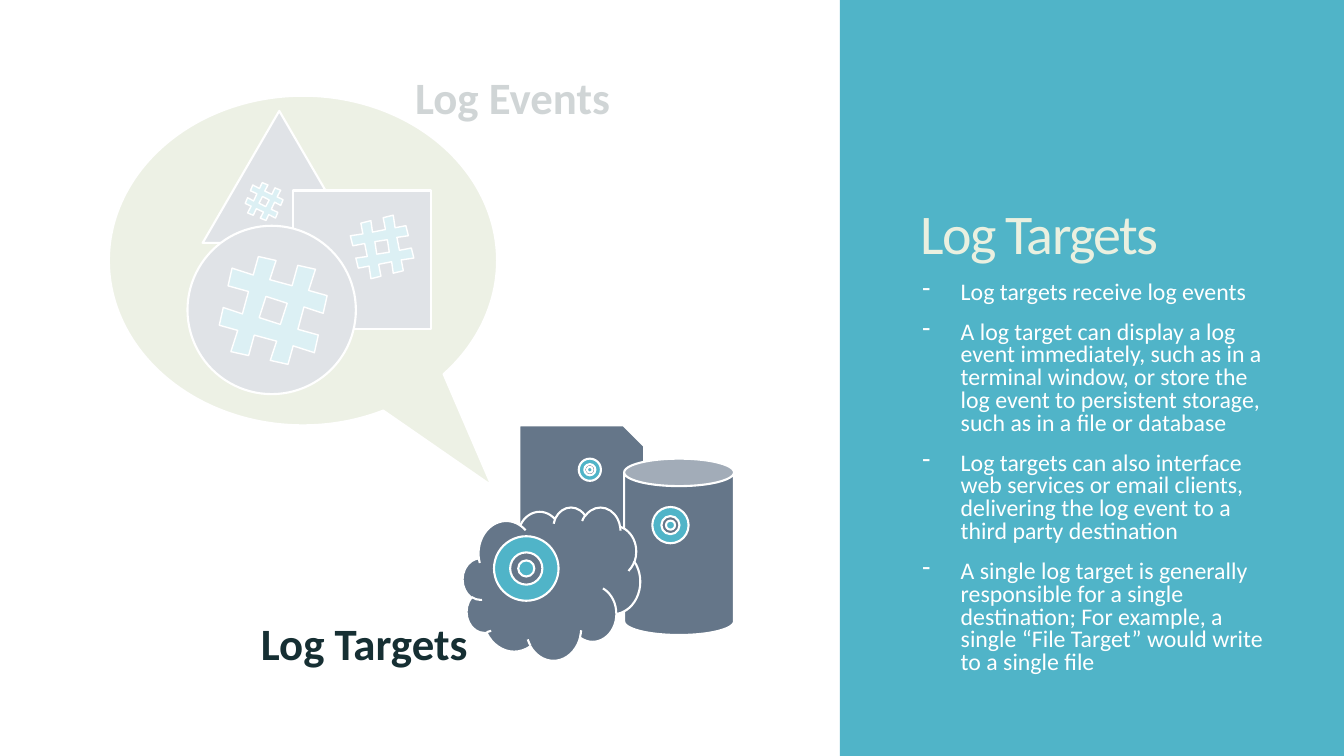
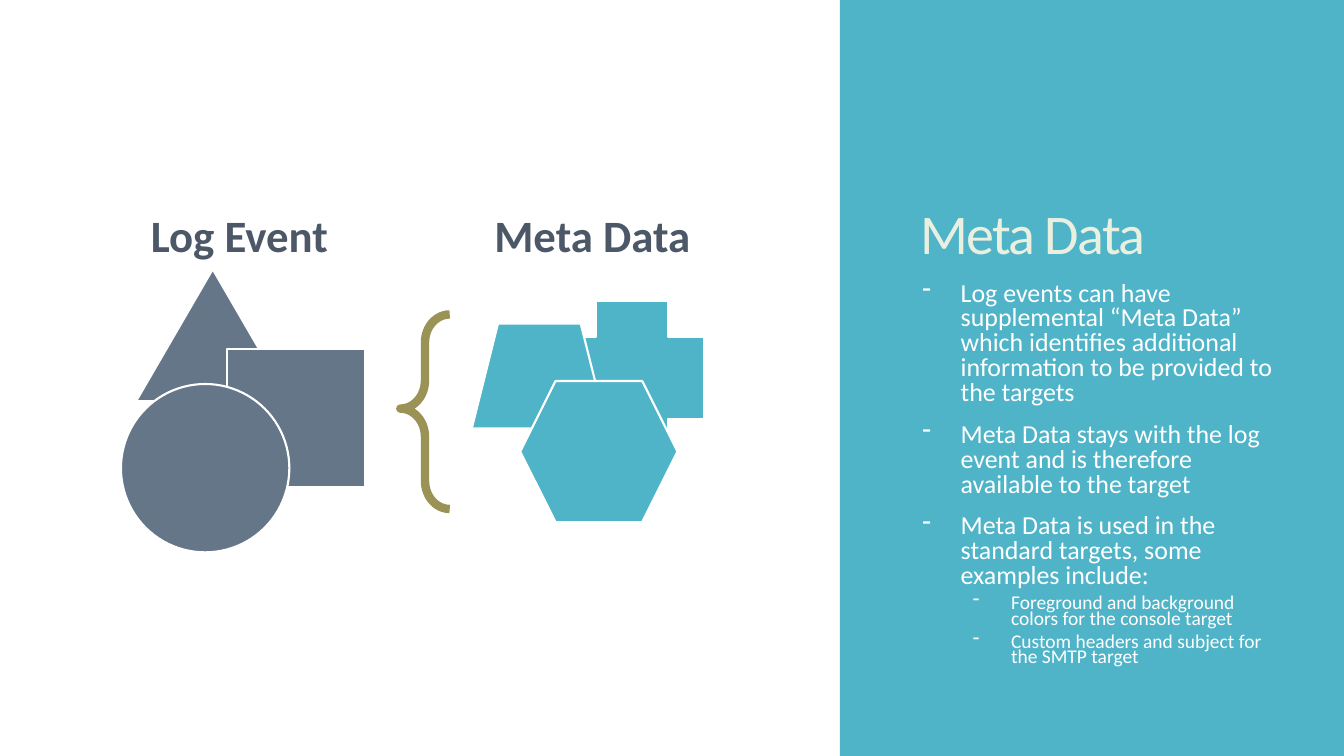
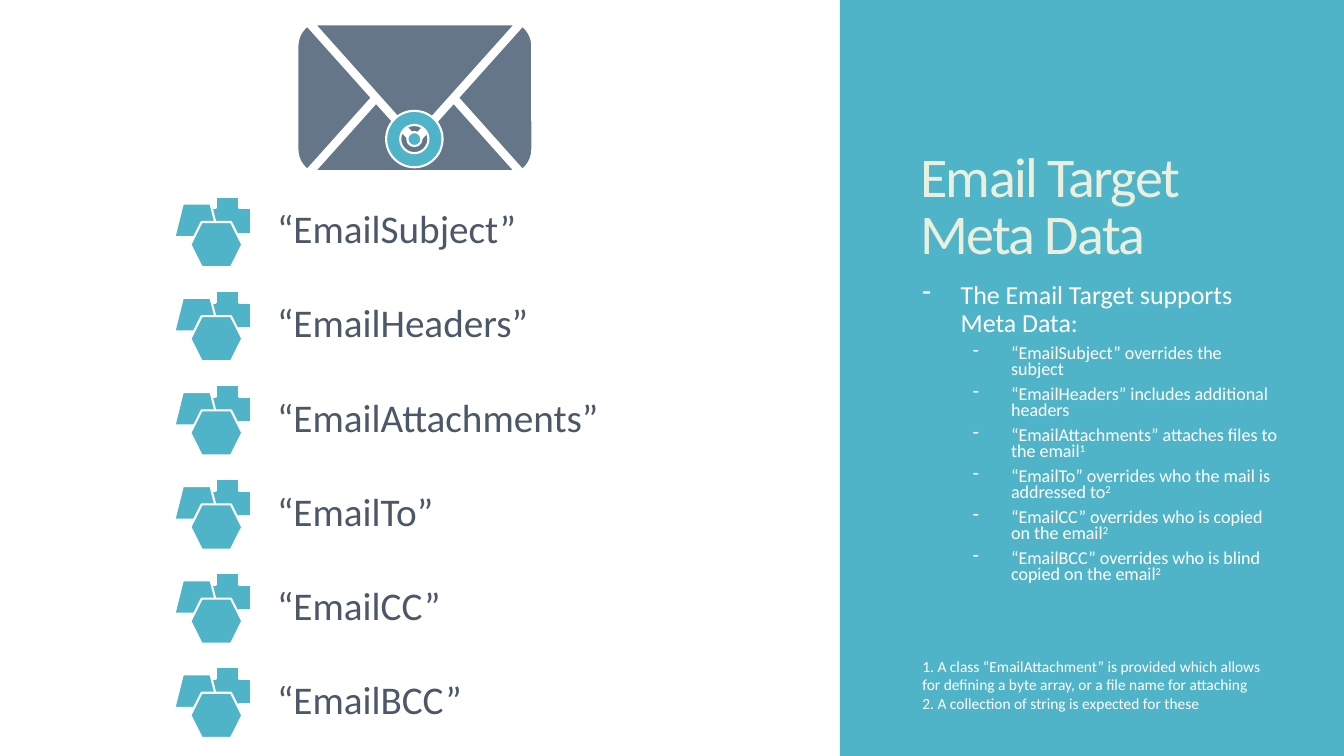
from dataclasses import dataclass
from typing import Optional, Sequence

from lxml import etree
from pptx import Presentation
from pptx import util as u
from pptx.dml import color
from pptx.enum import shapes, text
from pptx.oxml import ns

Kind = shapes.MSO_SHAPE
Inches = u.Inches


@dataclass(frozen=True)
class Theme:
    font: str = "Calibri"
    accent: str = "50B4C8"
    slate: str = "657689"
    label: str = "4C5867"
    heading: str = "162F33"
    title: str = "EAF0E0"
    callout: str = "A8B97F"
    brace: str = "9B9256"
    white: str = "FFFFFF"
    title_size: float = 40
    heading_size: float = 32
    key_size: float = 28
    footnote_size: float = 11
    outline: float = 1.5
    hash_outline: float = 1
    heavy_outline: float = 6


THEME = Theme()


@dataclass(frozen=True)
class Box:
    left: float
    top: float
    width: float
    height: float

    def lengths(self) -> tuple:
        return tuple(Inches(n) for n in (self.left, self.top, self.width, self.height))


@dataclass(frozen=True)
class Piece:
    kind: Kind
    box: Box
    fill: Optional[str] = THEME.slate
    line: str = THEME.white
    weight: float = THEME.outline
    rotation: float = 0
    adjust: tuple = ()


@dataclass(frozen=True)
class Bullet:
    text: str
    level: int = 0
    note: str = ""


@dataclass(frozen=True)
class BulletStyle:
    """Type sizes and line spacings by bullet level."""
    sizes: tuple
    spacings: tuple


@dataclass(frozen=True)
class MetaKey:
    name: str
    effect: str
    note: str = ""

    @property
    def quoted(self) -> str:
        return f"“{self.name}”"


@dataclass(frozen=True)
class Hash:
    center_x: float
    center_y: float
    size: float
    tilt: float


TITLE_BOX = Box(9.03, 0.59, 3.7, 2.1)
BULLET_INDENTS = (0.38, 0.88)
BULLET_HANG = 0.38
SPACE_BEFORE = (12, 6)

EVENT_FIGURE = (
    Piece(Kind.ISOSCELES_TRIANGLE, Box(0, 0, 1.52, 1.31)),
    Piece(Kind.RECTANGLE, Box(0.9, 0.79, 1.37, 1.37)),
    Piece(Kind.OVAL, Box(-0.15, 1.14, 1.67, 1.67)),
)
META_FIGURE = (
    Piece(Kind.CROSS, Box(0.88, 0, 1.42, 1.52), THEME.accent),
    Piece(Kind.TRAPEZOID, Box(0, 0.22, 1.34, 1.04), THEME.accent),
    Piece(Kind.HEXAGON, Box(0.48, 0.79, 1.56, 1.4), THEME.accent),
)

# One quarter of a hash sign of unit size, centred on the origin.
HASH_QUARTER = ((0.14, -0.49), (0.32, -0.49), (0.3, -0.27), (0.49, -0.26),
                (0.49, -0.08), (0.29, -0.1), (0.28, 0.13))
HASH_HOLE = ((-0.1, -0.12),)

META_KEYS = (
    MetaKey("EmailSubject", "overrides the subject"),
    MetaKey("EmailHeaders", "includes additional headers"),
    MetaKey("EmailAttachments", "attaches files to the email", "1"),
    MetaKey("EmailTo", "overrides who the mail is addressed to", "2"),
    MetaKey("EmailCC", "overrides who is copied on the email", "2"),
    MetaKey("EmailBCC", "overrides who is blind copied on the email", "2"),
)


def rgb(value: str) -> color.RGBColor:
    return color.RGBColor.from_string(value)


def paint(shape, fill: Optional[str], line: str, weight: float) -> None:
    shape.shadow.inherit = False
    if fill is None:
        shape.fill.background()
    else:
        shape.fill.solid()
        shape.fill.fore_color.rgb = rgb(fill)
    shape.line.color.rgb = rgb(line)
    shape.line.width = u.Pt(weight)


def add_piece(page, piece: Piece) -> None:
    shape = page.shapes.add_shape(piece.kind, *piece.box.lengths())
    paint(shape, piece.fill, piece.line, piece.weight)
    shape.rotation = piece.rotation
    for index, value in enumerate(piece.adjust):
        shape.adjustments[index] = value


def add_figure(page, figure: Sequence[Piece], left: float, top: float,
               scale_x: float = 1, scale_y: float = 1) -> None:
    for piece in figure:
        box = piece.box
        placed = Box(left + box.left * scale_x, top + box.top * scale_y,
                     box.width * scale_x, box.height * scale_y)
        add_piece(page, Piece(piece.kind, placed, piece.fill))


def add_bullseye(page, left: float, top: float, size: float) -> None:
    """Ring with a see-through gap around a dot a quarter of its size."""
    add_piece(page, Piece(Kind.DONUT, Box(left, top, size, size), THEME.accent, adjust=(0.25,)))
    dot, inset = size / 4, size * 3 / 8
    add_piece(page, Piece(Kind.OVAL, Box(left + inset, top + inset, dot, dot), THEME.accent))


def add_outline(page, contours: Sequence[Sequence[tuple]]):
    """Freeform made of closed contours given in inches."""
    builder = None
    for contour in contours:
        points = [(Inches(x), Inches(y)) for x, y in contour]
        if builder is None:
            builder = page.shapes.build_freeform(*points[0])
        else:
            builder.move_to(*points[0])
        builder.add_line_segments(points[1:], close=True)
    return builder.convert_to_shape()


def four_turns(quarter: Sequence[tuple]) -> list:
    """Repeat the points at 0, 90, 180 and 270 degrees."""
    points, turned = [], list(quarter)
    for _ in range(4):
        points += turned
        turned = [(-y, x) for x, y in turned]
    return points


def add_hash(page, sign: Hash) -> None:
    contours = [[(sign.center_x + x * sign.size, sign.center_y + y * sign.size)
                 for x, y in four_turns(part)] for part in (HASH_QUARTER, HASH_HOLE)]
    shape = add_outline(page, contours)
    paint(shape, THEME.accent, THEME.white, THEME.hash_outline)
    shape.rotation = sign.tilt


def format_span(span, size: float, ink: str, bold: bool = False) -> None:
    span.font.name = THEME.font
    span.font.size = u.Pt(size)
    span.font.bold = bold
    span.font.color.rgb = rgb(ink)


def add_text(page, box: Box, lines: Sequence[str], size: float, ink: str,
             bold: bool = False, align=text.PP_ALIGN.LEFT):
    frame = page.shapes.add_textbox(*box.lengths()).text_frame
    frame.word_wrap = True
    frame.text = "\n".join(lines)
    for para in frame.paragraphs:
        para.alignment = align
        for span in para.runs:
            format_span(span, size, ink, bold)
    return frame


def add_heading(page, label: str, box: Box, ink: str, align=text.PP_ALIGN.CENTER) -> None:
    add_text(page, box, [label], THEME.heading_size, ink, True, align)


def add_bullets(page, height: float, bullets: Sequence[Bullet], style: BulletStyle) -> None:
    frame = add_text(page, Box(9.05, 2.75, 3.72, height), [item.text for item in bullets],
                     style.sizes[0], THEME.white)
    for index, (para, item) in enumerate(zip(frame.paragraphs, bullets)):
        para.level = item.level
        para.line_spacing = style.spacings[item.level]
        para.space_before = u.Pt(SPACE_BEFORE[item.level] if index else 0)
        props = para._p.get_or_add_pPr()
        props.set("marL", str(Inches(BULLET_INDENTS[item.level])))
        props.set("indent", str(-Inches(BULLET_HANG)))
        etree.SubElement(props, ns.qn("a:buChar")).set("char", "-")
        if item.note:
            note = para.add_run()
            note.text = item.note
            note.font._element.set("baseline", "30000")
        for span in para.runs:
            format_span(span, style.sizes[item.level], THEME.white)


def add_page(deck, title: str):
    """New slide with the side panel and its title."""
    page = deck.slides.add_slide(deck.slide_layouts[6])
    panel = page.shapes.add_shape(Kind.RECTANGLE, *Box(8.33, 0, 5, 7.5).lengths())
    paint(panel, THEME.accent, THEME.accent, 0)
    panel.line.fill.background()
    frame = add_text(page, TITLE_BOX, [title], THEME.title_size, THEME.title)
    frame.vertical_anchor = text.MSO_ANCHOR.BOTTOM
    para = frame.paragraphs[0]
    para.line_spacing = 0.85
    para.runs[0].font._element.set("spc", "-120")
    return page


def add_veil(page) -> None:
    """Mostly opaque white cover that fades the log event drawing."""
    corners = ((2.77, 0.59), (6.15, 0.59), (6.15, 1.35), (5.07, 1.35),
               (5.07, 5.03), (1.01, 5.03), (1.01, 0.77), (2.77, 0.77))
    veil = add_outline(page, [corners])
    paint(veil, THEME.white, THEME.white, THEME.outline)
    tint = veil._element.spPr.find(ns.qn("a:solidFill"))[0]
    etree.SubElement(tint, ns.qn("a:alpha")).set("val", "80000")


def build_log_targets(deck) -> None:
    page = add_page(deck, "Log Targets")
    add_bullets(page, 4.06, (
        Bullet("Log targets receive log events"),
        Bullet("A log target can display a log event immediately, such as in a terminal "
               "window, or store the log event to persistent storage, such as in a file "
               "or database"),
        Bullet("Log targets can also interface web services or email clients, delivering "
               "the log event to a third party destination"),
        Bullet("A single log target is generally responsible for a single destination; "
               "For example, a single “File Target” would write to a single file"),
    ), BulletStyle((17,), (0.8,)))
    add_piece(page, Piece(Kind.OVAL_CALLOUT, Box(1.08, 0.95, 3.85, 3.27), THEME.callout,
                          adjust=(0.486, 0.683)))
    add_figure(page, EVENT_FIGURE, 2.01, 1.1)
    for sign in (Hash(2.71, 3.08, 1, 12.6), Hash(3.79, 2.45, 0.57, -13.8),
                 Hash(2.62, 2, 0.34, 22.4)):
        add_hash(page, sign)
    for kind, box in ((Kind.SNIP_1_RECTANGLE, Box(5.15, 4.22, 1.24, 1.8)),
                      (Kind.CAN, Box(6.19, 4.55, 1.09, 1.75)),
                      (Kind.CLOUD, Box(4.59, 5.03, 1.76, 1.52))):
        add_piece(page, Piece(kind, box))
    for left, top, size in ((4.9, 5.32, 0.64), (6.47, 5.03, 0.36), (5.74, 4.55, 0.22)):
        add_bullseye(page, left, top, size)
    add_heading(page, "Log Events", Box(3.88, 0.64, 2.41, 0.64), THEME.heading)
    add_heading(page, "Log Targets", Box(2.49, 6.06, 2.26, 0.64), THEME.heading,
                text.PP_ALIGN.LEFT)
    add_veil(page)


def build_meta_data(deck) -> None:
    page = add_page(deck, "Meta Data")
    add_bullets(page, 4.17, (
        Bullet("Log events can have supplemental “Meta Data” which identifies additional "
               "information to be provided to the targets"),
        Bullet("Meta Data stays with the log event and is therefore available to the target"),
        Bullet("Meta Data is used in the standard targets, some examples include:"),
        Bullet("Foreground and background colors for the console target", 1),
        Bullet("Custom headers and subject for the SMTP target", 1),
    ), BulletStyle((18.5, 13.9), (0.8, 0.65)))
    add_figure(page, EVENT_FIGURE, 1.35, 2.67)
    add_piece(page, Piece(Kind.LEFT_BRACE, Box(3.97, 3.12, 0.49, 1.93), None, THEME.brace,
                          THEME.heavy_outline, adjust=(0.567, 0.484)))
    add_figure(page, META_FIGURE, 4.68, 2.99)
    for label, left in (("Log Event", 1.17), ("Meta Data", 4.67)):
        add_heading(page, label, Box(left, 2.01, 2.41, 0.64), THEME.label)


def add_envelope(page) -> None:
    add_piece(page, Piece(Kind.ROUNDED_RECTANGLE, Box(2.95, 0.2, 2.33, 1.54)))
    for top, rotation in ((0.54, 0), (0.21, 180)):
        add_piece(page, Piece(Kind.ISOSCELES_TRIANGLE, Box(3.05, top, 2.13, 1.19),
                              weight=THEME.heavy_outline, rotation=rotation))
    add_bullseye(page, 3.83, 1.1, 0.56)


def build_email_target(deck) -> None:
    page = add_page(deck, "Email Target Meta Data")
    details = [Bullet(f"{key.quoted} {key.effect}", 1, key.note) for key in META_KEYS]
    add_bullets(page, 3.42, [Bullet("The Email Target supports Meta Data:"), *details],
                BulletStyle((18.5, 12.9), (0.9, 0.75)))
    add_text(page, Box(9.05, 6.47, 3.68, 0.84), (
        "1. A class “EmailAttachment” is provided which allows for defining a byte array, "
        "or a file name for attaching",
        "2. A collection of string is expected for these",
    ), THEME.footnote_size, THEME.white)
    add_envelope(page)
    first_top, last_top = 1.95, 6.62
    step = (last_top - first_top) / (len(META_KEYS) - 1)
    for row, key in enumerate(META_KEYS):
        top = first_top + row * step
        add_figure(page, META_FIGURE, 1.73, top, 0.33, 0.32)
        add_text(page, Box(2.65, top + 0.03, 3.85, 0.57), [key.quoted],
                 THEME.key_size, THEME.label)


def main() -> None:
    deck = Presentation()
    deck.slide_width, deck.slide_height = Inches(13.33), Inches(7.5)
    build_log_targets(deck)
    build_meta_data(deck)
    build_email_target(deck)
    deck.save("out.pptx")


if __name__ == "__main__":
    main()
